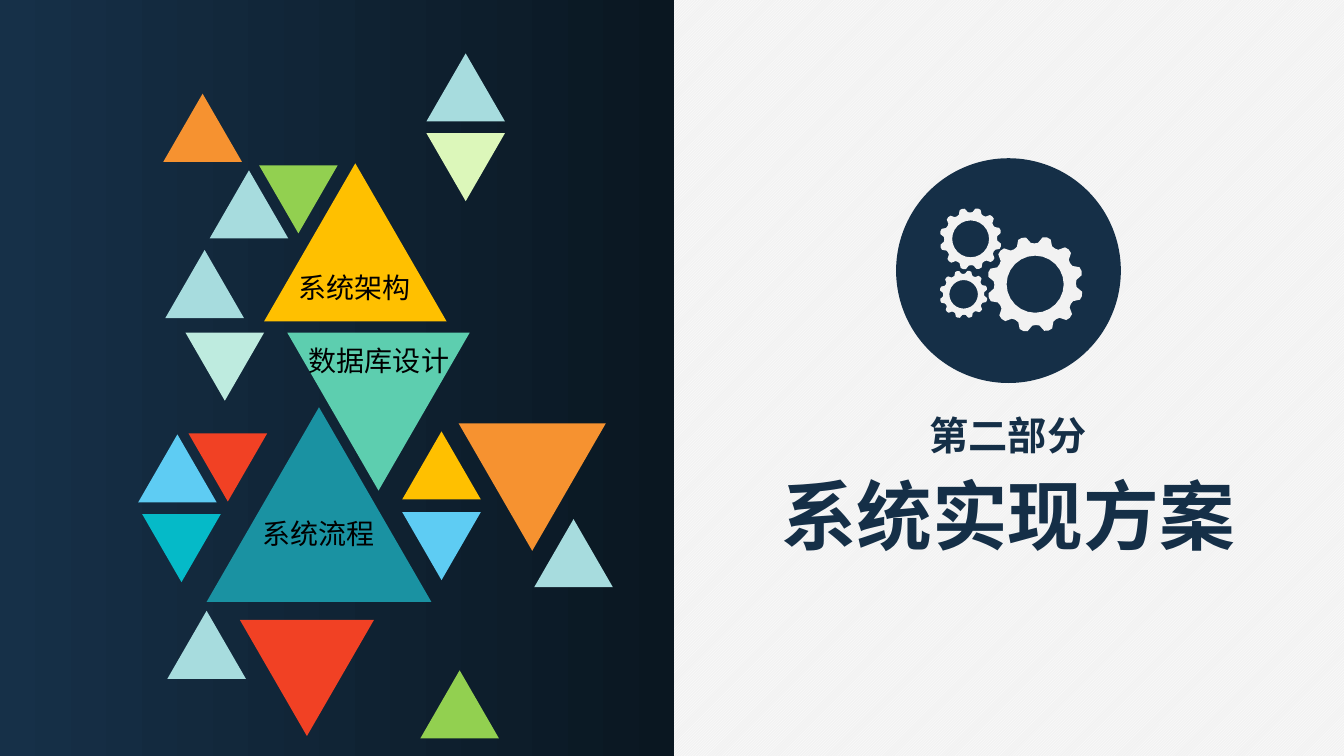
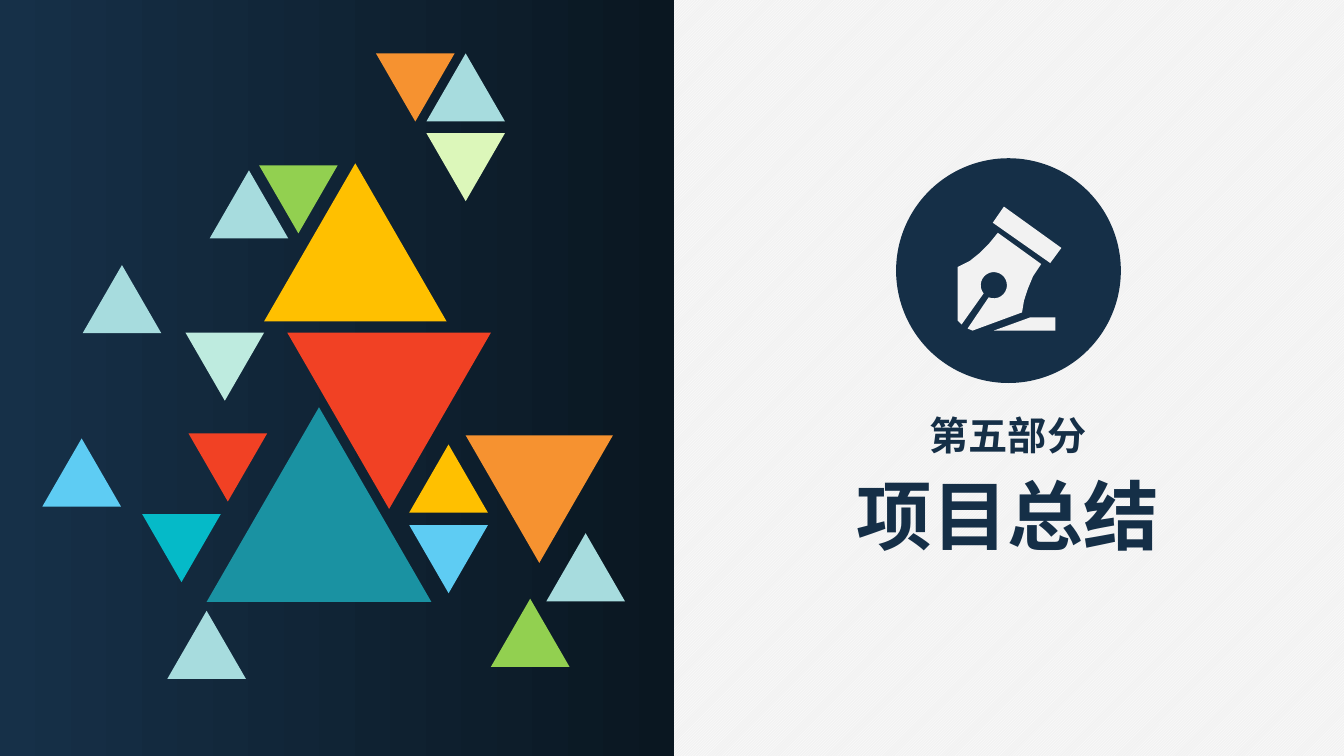
import math
from dataclasses import dataclass
from typing import Callable

from lxml import etree
from pptx import Presentation
from pptx.dml.color import RGBColor
from pptx.enum import dml, shapes, text
from pptx.oxml.ns import qn
from pptx.shapes.base import BaseShape
from pptx.slide import Slide, SlideLayout
from pptx.util import Inches, Pt

FONT = "Noto Sans CJK SC"
NAVY, NAVY_LIGHT, NAVY_DARK = "152F47", "163048", "0A1721"
WHITE, PAPER, BLACK = "FFFFFF", "F2F2F2", "000000"
PALE, MINT, SEA, TEAL = "A7DCDE", "BEEBDF", "5DCEAF", "1A92A2"
SKY, CYAN, GREEN, LIME = "5ECCF3", "05BAC8", "92D050", "DCF7BA"
ORANGE, AMBER, RED = "F69230", "FFC000", "F14124"

SLIDE_HEIGHT = 7.5
SLIDE_WIDTH = SLIDE_HEIGHT * 16 / 9
BAND_WIDTH = 6.69
HEADING_CENTRE = 10.0
SMALL = 0.78

Point = tuple[float, float]


@dataclass(frozen=True)
class Triangle:
    """An equilateral triangle, placed by the corner of its bounding box."""
    left: float
    top: float
    colour: str
    side: float = SMALL
    down: bool = False


@dataclass(frozen=True)
class Label:
    wording: str
    centre: float
    top: float
    width: float


@dataclass(frozen=True)
class Gear:
    x: float
    y: float
    radius: float


@dataclass(frozen=True)
class Section:
    number: str
    title: str
    draw_icon: Callable[[BaseShape], None]
    triangles: tuple[Triangle, ...]
    labels: tuple[Label, ...] = ()


SHARED_TRIANGLES = (
    Triangle(4.23, 0.53, PALE),
    Triangle(4.23, 1.32, LIME, down=True),
    Triangle(2.08, 1.69, PALE),
    Triangle(2.57, 1.64, GREEN, down=True),
    Triangle(2.62, 1.62, AMBER, 1.81),
    Triangle(1.84, 3.3, MINT, down=True),
    Triangle(1.87, 4.3, RED, down=True),
    Triangle(2.05, 4.04, TEAL, 2.23),
    Triangle(1.41, 5.1, CYAN, down=True),
    Triangle(1.66, 6.06, PALE),
)

GEARS = (Gear(10.27, 2.82, 0.48), Gear(9.63, 2.37, 0.31), Gear(9.56, 2.92, 0.24))
GEAR_TEETH = 12
GEAR_PHASE = math.radians(14)
POINTS_PER_TOOTH = 6


def rgb(colour: str) -> RGBColor:
    return RGBColor.from_string(colour)


def paint(shape: BaseShape, colour: str) -> None:
    shape.shadow.inherit = False
    shape.fill.solid()
    shape.fill.fore_color.rgb = rgb(colour)
    shape.line.fill.background()


def place(shape: BaseShape, left: float, top: float, width: float, height: float) -> None:
    shape.left, shape.top = Inches(left), Inches(top)
    shape.width, shape.height = Inches(width), Inches(height)


def write(shape: BaseShape, wording: str, size: float, colour: str, bold: bool = False) -> None:
    """Put one centred line in the shape, in the deck's font for all scripts."""
    frame = shape.text_frame
    frame.word_wrap = False
    frame.auto_size = text.MSO_AUTO_SIZE.SHAPE_TO_FIT_TEXT
    frame.vertical_anchor = text.MSO_ANCHOR.TOP
    paragraph = frame.paragraphs[0]
    paragraph.alignment = text.PP_ALIGN.CENTER
    paragraph.space_before = Pt(0)
    run = paragraph.add_run()
    run.text = wording
    run.font.name, run.font.size, run.font.bold = FONT, Pt(size), bold
    run.font.color.rgb = rgb(colour)
    for latin in shape.element.iter(qn("a:latin")):
        east_asian = etree.Element(qn("a:ea"))
        east_asian.set("typeface", FONT)
        latin.addnext(east_asian)


def add_triangle(slide: Slide, triangle: Triangle) -> None:
    height = triangle.side * math.sqrt(3) / 2
    shape = slide.shapes.add_shape(
        shapes.MSO_SHAPE.ISOSCELES_TRIANGLE, Inches(triangle.left), Inches(triangle.top),
        Inches(triangle.side), Inches(height))
    shape.rotation = 180 if triangle.down else 0
    paint(shape, triangle.colour)


def add_label(slide: Slide, label: Label) -> None:
    box = slide.shapes.add_textbox(
        Inches(label.centre - label.width / 2), Inches(label.top),
        Inches(label.width), Inches(0.44))
    write(box, label.wording, 20, BLACK)


def arc(x: float, y: float, radius: float, start: float, end: float) -> list[Point]:
    """Points along a circle, with angles in degrees."""
    steps = 24
    angles = [math.radians(start + (end - start) * i / steps) for i in range(steps + 1)]
    return [(x + radius * math.cos(a), y + radius * math.sin(a)) for a in angles]


def add_outline(group: BaseShape, *contours: list[Point]) -> None:
    """Draw closed contours as one shape; an inner contour makes a hole."""
    scaled = [[(Inches(x), Inches(y)) for x, y in contour] for contour in contours]
    builder = group.shapes.build_freeform(*scaled[0][0], scale=1.0)
    builder.add_line_segments(scaled[0][1:], close=True)
    for contour in scaled[1:]:
        builder.move_to(*contour[0])
        builder.add_line_segments(contour[1:], close=True)
    paint(builder.convert_to_shape(), PAPER)


def draw_gears(group: BaseShape) -> None:
    steps = GEAR_TEETH * POINTS_PER_TOOTH
    for gear in GEARS:
        rim = []
        for i in range(steps):
            turn = math.tau * i / steps
            radius = gear.radius * (0.92 + 0.08 * math.tanh(2 * math.cos(GEAR_TEETH * turn)))
            angle = turn + GEAR_PHASE
            rim.append((gear.x + radius * math.cos(angle), gear.y + radius * math.sin(angle)))
        add_outline(group, rim, arc(gear.x, gear.y, gear.radius * 0.59, 360, 0))


def draw_pen(group: BaseShape) -> None:
    nib = [(9.54, 3.22), (9.5, 3.18), (9.5, 2.65), (9.62, 2.59), (9.72, 2.51), (9.81, 2.42),
           (9.9, 2.31), (10.33, 2.62), (10.25, 2.74), (10.2, 2.86), (10.16, 2.98),
           (10.14, 3.1), (9.65, 3.28), (9.6, 3.26)]
    add_outline(
        group,
        nib + arc(9.86, 2.83, 0.13, 113, -219),
        [(9.86, 3.28), (10.47, 3.28), (10.47, 3.15), (10.22, 3.15)],
        [(10.42, 2.61), (10.53, 2.46), (9.96, 2.05), (9.85, 2.21)])


def add_icon(slide: Slide, draw_icon: Callable[[BaseShape], None]) -> None:
    group = slide.shapes.add_group_shape()
    disc = group.shapes.add_shape(
        shapes.MSO_SHAPE.OVAL, Inches(8.89), Inches(1.57), Inches(2.23), Inches(2.23))
    paint(disc, NAVY)
    draw_icon(group)


def add_layout_band(slide: Slide, layout: SlideLayout) -> None:
    """Draw the dark band and hand it to the layout, where every slide shows it."""
    band = slide.shapes.add_shape(
        shapes.MSO_SHAPE.RECTANGLE, 0, 0, Inches(BAND_WIDTH), Inches(SLIDE_HEIGHT))
    paint(band, NAVY_LIGHT)
    band.fill.gradient()
    band.fill.gradient_angle = 0
    for stop, position, colour in zip(band.fill.gradient_stops, (0, 1), (NAVY_LIGHT, NAVY_DARK)):
        stop.position = position
        stop.color.rgb = rgb(colour)
    band.element.find(".//" + qn("p:cNvPr")).set("id", "100")
    layout.shapes.element.insert(2, band.element)


def style_background(layout: SlideLayout) -> None:
    fill = layout.background.fill
    fill.patterned()
    fill.pattern = dml.MSO_PATTERN.LIGHT_UPWARD_DIAGONAL
    fill.fore_color.rgb = rgb(WHITE)
    fill.back_color.rgb = rgb(PAPER)


def fill_section(slide: Slide, section: Section) -> None:
    title, number = slide.shapes.title, slide.placeholders[1]
    title_width = 0.3 + 0.75 * len(section.title)
    place(title, HEADING_CENTRE - title_width / 2, 4.6, title_width, 1.01)
    write(title, section.title, 54, NAVY, bold=True)
    place(number, HEADING_CENTRE - 0.9, 4.03, 1.8, 0.57)
    write(number, section.number, 28, NAVY, bold=True)
    add_icon(slide, section.draw_icon)
    for triangle in SHARED_TRIANGLES + section.triangles:
        add_triangle(slide, triangle)
    for label in section.labels:
        add_label(slide, label)


SECTIONS = (
    Section(
        "第二部分", "系统实现方案", draw_gears,
        (
            Triangle(1.62, 0.93, ORANGE),
            Triangle(1.64, 2.48, PALE),
            Triangle(2.85, 3.3, SEA, 1.81, down=True),
            Triangle(1.37, 4.31, SKY),
            Triangle(4.55, 4.2, ORANGE, 1.46, down=True),
            Triangle(3.99, 4.28, AMBER),
            Triangle(3.99, 5.08, SKY, down=True),
            Triangle(5.3, 5.15, PALE),
            Triangle(2.38, 6.15, RED, 1.33, down=True),
            Triangle(4.17, 6.65, GREEN),
        ),
        (
            Label("系统架构", 3.52, 2.63, 1.31),
            Label("数据库设计", 3.76, 3.36, 1.59),
            Label("系统流程", 3.16, 5.08, 1.31),
        ),
    ),
    Section(
        "第五部分", "项目总结", draw_pen,
        (
            Triangle(3.73, 0.53, ORANGE, down=True),
            Triangle(0.82, 2.63, PALE),
            Triangle(2.85, 3.3, RED, 2.02, down=True),
            Triangle(0.42, 4.35, SKY),
            Triangle(4.62, 4.32, ORANGE, 1.46, down=True),
            Triangle(4.06, 4.41, AMBER),
            Triangle(4.06, 5.21, SKY, down=True),
            Triangle(5.42, 5.29, PALE),
            Triangle(4.87, 5.94, GREEN),
        ),
    ),
)


def main() -> None:
    presentation = Presentation()
    presentation.slide_width = Inches(SLIDE_WIDTH)
    presentation.slide_height = Inches(SLIDE_HEIGHT)
    layout = presentation.slide_layouts.get_by_name("Section Header")
    style_background(layout)
    slides = [presentation.slides.add_slide(layout) for _ in SECTIONS]
    add_layout_band(slides[0], layout)
    for slide, section in zip(slides, SECTIONS):
        fill_section(slide, section)
    presentation.save("out.pptx")


if __name__ == "__main__":
    main()
